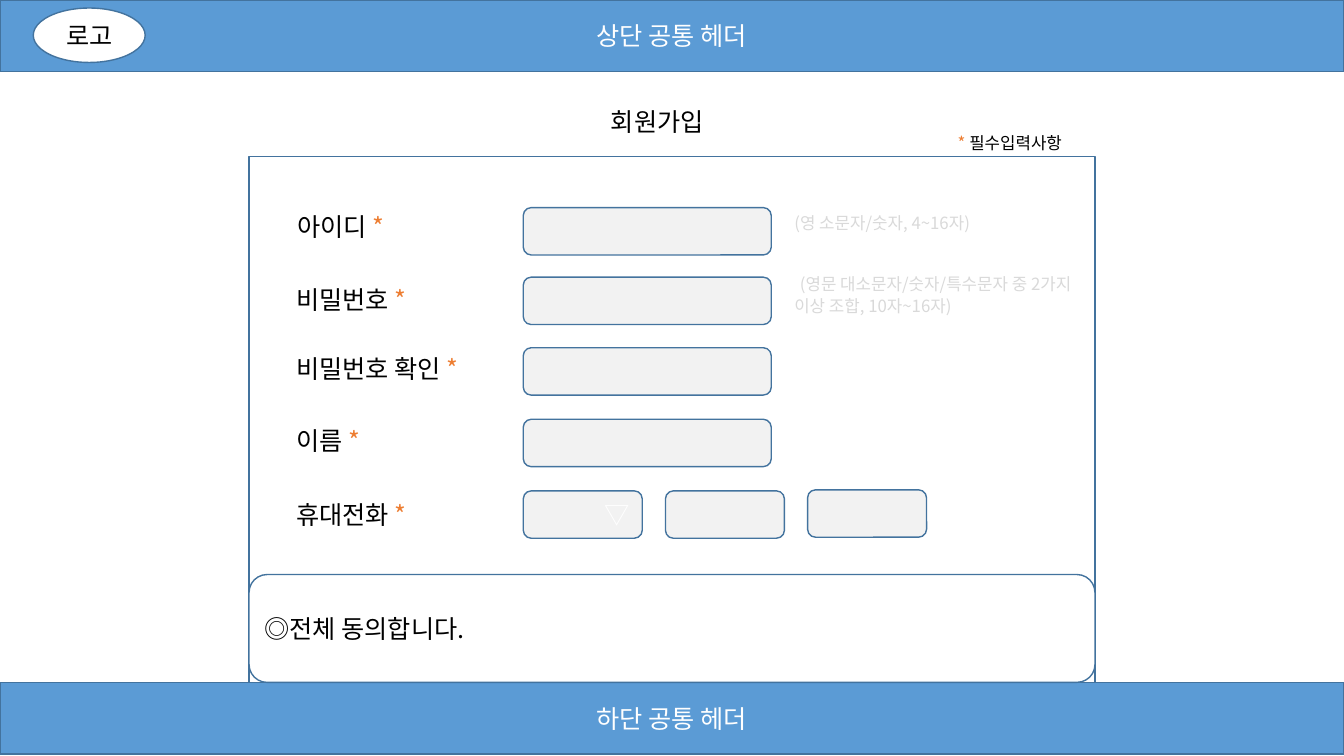
from dataclasses import dataclass
from typing import NamedTuple

from lxml.etree import SubElement
from pptx import Presentation
from pptx.dml.color import RGBColor
from pptx.enum.shapes import MSO_SHAPE
from pptx.enum.text import MSO_ANCHOR, MSO_AUTO_SIZE, PP_ALIGN
from pptx.oxml.ns import qn
from pptx.slide import Slide
from pptx.text.text import TextFrame
from pptx.util import Pt

SCALE = 9144


@dataclass(frozen=True)
class Theme:
    font: str = "Noto Sans CJK KR"
    blue: str = "5B9BD5"
    edge: str = "43739E"
    white: str = "FFFFFF"
    black: str = "000000"
    field: str = "F2F2F2"
    hint: str = "D9D9D9"
    mark: str = "ED7D31"
    body: int = 18
    small: int = 12
    line: int = 1


THEME = Theme()


class Box(NamedTuple):
    left: int
    top: int
    width: int
    height: int


class Word(NamedTuple):
    text: str
    color: str = THEME.black
    size: int = THEME.body


class Panel(NamedTuple):
    box: Box
    kind: MSO_SHAPE
    fill: str
    words: tuple[Word, ...] = ()
    align: PP_ALIGN = PP_ALIGN.CENTER


class Label(NamedTuple):
    box: Box
    words: tuple[Word, ...]


class Row(NamedTuple):
    name: str
    left: int
    top: int
    width: int


def emu(box: Box) -> list[int]:
    return [side * SCALE for side in box]


def write(frame: TextFrame, words: tuple[Word, ...], align: PP_ALIGN) -> None:
    frame.word_wrap = True
    para = frame.paragraphs[0]
    para.alignment = align
    para.text = words[0].text
    for word in words[1:]:
        para.add_run().text = word.text
    for run, word in zip(para.runs, words):
        run.font.size = Pt(word.size)
        run.font.color.rgb = RGBColor.from_string(word.color)
        run.font.name = THEME.font
        SubElement(run._r.get_or_add_rPr(), qn("a:ea"), typeface=THEME.font)


def draw_panel(slide: Slide, panel: Panel) -> None:
    shape = slide.shapes.add_shape(panel.kind, *emu(panel.box))
    shape.shadow.inherit = False
    shape.fill.solid()
    shape.fill.fore_color.rgb = RGBColor.from_string(panel.fill)
    shape.line.color.rgb = RGBColor.from_string(THEME.edge)
    shape.line.width = Pt(THEME.line)
    if panel.words:
        shape.text_frame.vertical_anchor = MSO_ANCHOR.MIDDLE
        write(shape.text_frame, panel.words, panel.align)


def draw_label(slide: Slide, label: Label) -> None:
    frame = slide.shapes.add_textbox(*emu(label.box)).text_frame
    write(frame, label.words, PP_ALIGN.LEFT)
    frame.auto_size = MSO_AUTO_SIZE.SHAPE_TO_FIT_TEXT


RECT, ROUND, OVAL = MSO_SHAPE.RECTANGLE, MSO_SHAPE.ROUNDED_RECTANGLE, MSO_SHAPE.OVAL

ROWS = (
    Row("아이디", 285, 205, 165),
    Row("비밀번호", 284, 277, 165),
    Row("비밀번호 확인", 284, 346, 218),
    Row("이름", 284, 417, 193),
    Row("휴대전화", 284, 490, 193),
)
FIELDS = [Panel(Box(519, top, 246, 47), ROUND, THEME.field) for top in (206, 275, 345, 416)]
ARROW = (Word("▽", THEME.white),)
PHONES = [
    Panel(Box(519 + 141 * i, top, 118, 47), ROUND, THEME.field, words, PP_ALIGN.RIGHT)
    for i, (top, words) in enumerate(((487, ARROW), (487, ()), (486, ())))
]
PANELS = [
    Panel(Box(247, 155, 839, 565), RECT, THEME.white),
    *FIELDS,
    *PHONES,
    Panel(Box(0, 0, 1333, 71), RECT, THEME.blue, (Word("상단 공통 헤더", THEME.white),)),
    Panel(Box(0, 677, 1333, 71), RECT, THEME.blue, (Word("하단 공통 헤더", THEME.white),)),
    Panel(Box(247, 570, 839, 107), ROUND, THEME.white, (Word("◎전체 동의합니다."),), PP_ALIGN.LEFT),
    Panel(Box(33, 8, 111, 54), OVAL, THEME.white, (Word("로고"),)),
]
LABELS = [
    Label(Box(596, 101, 121, 40), (Word("회원가입"),)),
    *(
        Label(Box(row.left, row.top, row.width, 40), (Word(row.name), Word(" *", THEME.mark)))
        for row in ROWS
    ),
    Label(Box(778, 206, 288, 30), (Word("(영 소문자/숫자, 4~16자)", THEME.hint, THEME.small),)),
    Label(
        Box(778, 258, 320, 61),
        (
            Word(" ", THEME.hint),
            Word("(영문 대소문자/숫자/특수문자 중 2가지 이상 조합, 10자~16자)", THEME.hint, THEME.small),
        ),
    ),
    Label(
        Box(940, 127, 134, 30),
        (Word("* ", THEME.mark, THEME.small), Word("필수입력사항", THEME.black, THEME.small)),
    ),
]


def main() -> None:
    deck = Presentation()
    deck.slide_width, deck.slide_height = 1333 * SCALE, 750 * SCALE
    slide = deck.slides.add_slide(deck.slide_layouts[6])
    for panel in PANELS:
        draw_panel(slide, panel)
    for label in LABELS:
        draw_label(slide, label)
    deck.save("out.pptx")


if __name__ == "__main__":
    main()
